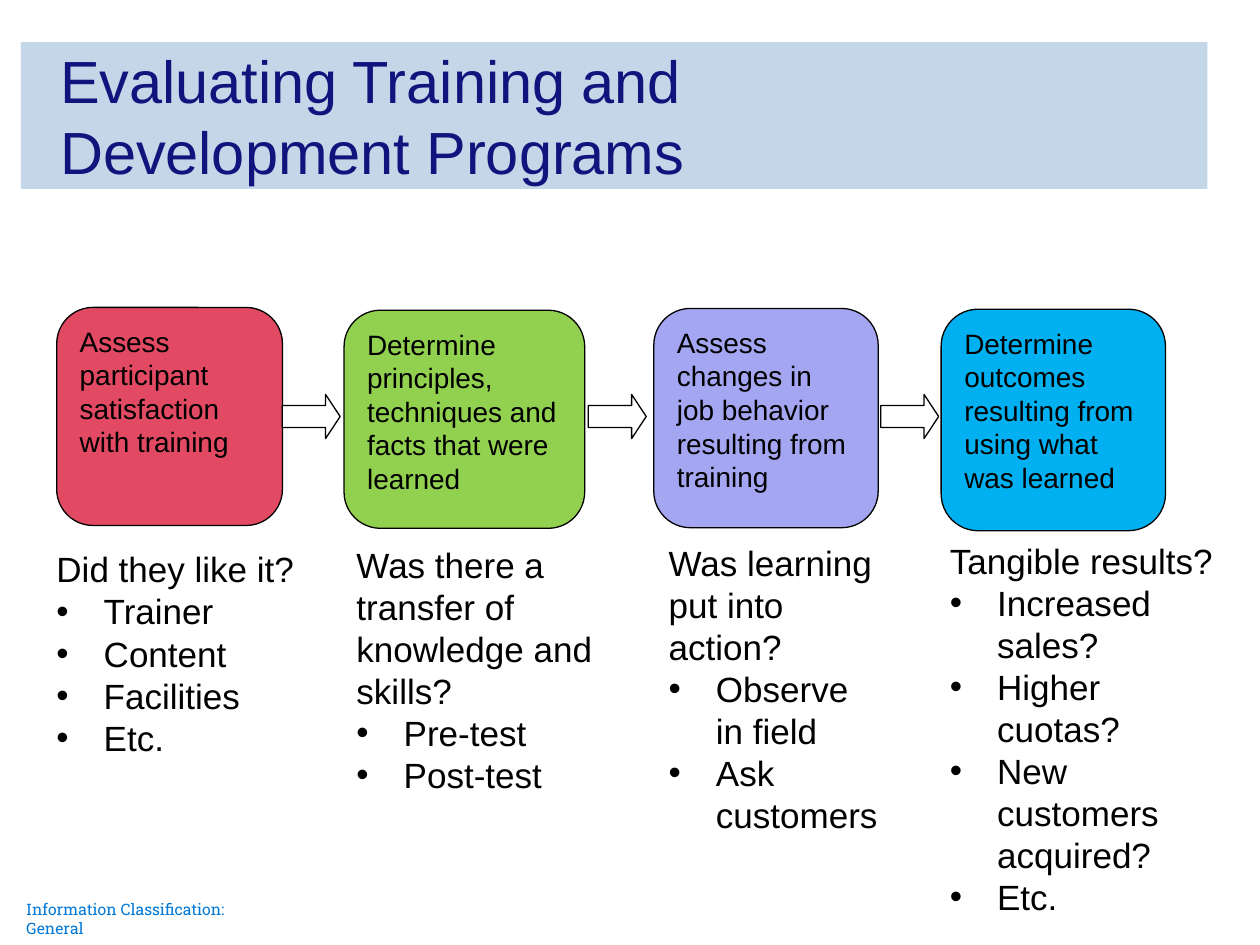
from lxml import etree
from pptx import Presentation
from pptx.dml.color import RGBColor
from pptx.enum import shapes, text
from pptx.oxml.ns import qn
from pptx.util import Pt

BAND = RGBColor(0xC4, 0xD7, 0xE9)
NAVY = RGBColor(0x11, 0x14, 0x7D)
BLUE = RGBColor(0x00, 0x78, 0xD7)
BLACK = RGBColor(0, 0, 0)
WHITE = RGBColor(0xFF, 0xFF, 0xFF)
RED = RGBColor(0xE2, 0x4A, 0x63)
GREEN = RGBColor(0x92, 0xD0, 0x50)
LILAC = RGBColor(0xA4, 0xA6, 0xF2)
SKY = RGBColor(0x00, 0xB0, 0xF0)

# Each stage: card box, card colour, card text, notes box, question, answers
STAGES = [
    ((32.4, 175.7, 129, 124.6), RED,
     "Assess participant satisfaction with training",
     (25.2, 309.6, 151.2, 128), "Did they like it?",
     ["Trainer", "Content", "Facilities", "Etc."]),
    ((196.6, 177.3, 137.5, 124.6), GREEN,
     "Determine principles, techniques and facts that were learned",
     (196.6, 306.9, 151.2, 152.6), "Was there a transfer of knowledge and skills?",
     ["Pre-test", "Post-test"]),
    ((373.6, 176.3, 128.2, 125.3), LILAC,
     "Assess changes in job behavior resulting from training",
     (375, 306, 137.5, 177), "Was learning put into action?",
     ["Observe in field", "Ask customers"]),
    ((537.8, 176.7, 128.2, 126.6), SKY,
     "Determine outcomes resulting from using what was learned",
     (535.7, 304.7, 166.3, 225.4), "Tangible results?",
     ["Increased sales?", "Higher cuotas?", "New customers acquired?", "Etc."]),
]
ARROW_LEFTS = [161.3, 336.2, 503.3]
ARROW_TOP, ARROW_WIDTH, ARROW_HEIGHT = 225.4, 33.1, 25.2


def points(box):
    return [Pt(value) for value in box]


def set_font(paragraph, size, color, name="Arial"):
    paragraph.font.size = Pt(size)
    paragraph.font.name = name
    paragraph.font.color.rgb = color


def add_title(slide, box, lines):
    title = slide.shapes.title
    title.left, title.top, title.width, title.height = points(box)
    title.fill.solid()
    title.fill.fore_color.rgb = BAND
    frame = title.text_frame
    frame.auto_size = text.MSO_AUTO_SIZE.NONE
    frame.word_wrap = True
    frame.vertical_anchor = text.MSO_ANCHOR.MIDDLE
    frame.margin_left = Pt(22.4)
    paragraph = frame.paragraphs[0]
    paragraph.alignment = text.PP_ALIGN.LEFT
    set_font(paragraph, 34, NAVY)
    paragraph.add_run().text = lines[0]
    for line in lines[1:]:
        paragraph.add_line_break()
        paragraph.add_run().text = line


def add_outlined_shape(slide, kind, box, color):
    shape = slide.shapes.add_shape(kind, *points(box))
    shape.shadow.inherit = False
    shape.fill.solid()
    shape.fill.fore_color.rgb = color
    shape.line.color.rgb = BLACK
    shape.line.width = Pt(0.75)
    return shape


def add_card(slide, box, color, wording):
    card = add_outlined_shape(slide, shapes.MSO_SHAPE.ROUNDED_RECTANGLE, box, color)
    frame = card.text_frame
    frame.word_wrap = True
    frame.vertical_anchor = text.MSO_ANCHOR.TOP
    paragraph = frame.paragraphs[0]
    paragraph.text = wording
    paragraph.alignment = text.PP_ALIGN.LEFT
    set_font(paragraph, 16, BLACK)


def add_arrow(slide, box):
    arrow = add_outlined_shape(slide, shapes.MSO_SHAPE.RIGHT_ARROW, box, WHITE)
    arrow.adjustments[1] = 0.33


def add_bullet(paragraph):
    properties = paragraph._p.get_or_add_pPr()
    properties.set("marL", str(Pt(27)))
    properties.set("indent", str(-Pt(27)))
    etree.SubElement(properties, qn("a:buFont"), typeface="Arial")
    etree.SubElement(properties, qn("a:buChar"), char="•")


def add_notes(slide, box, question, answers):
    frame = slide.shapes.add_textbox(*points(box)).text_frame
    frame.word_wrap = True
    frame.paragraphs[0].text = question
    for answer in answers:
        paragraph = frame.add_paragraph()
        paragraph.text = answer
        add_bullet(paragraph)
    for paragraph in frame.paragraphs:
        set_font(paragraph, 20, BLACK)


def add_classification(slide, box, wording):
    frame = slide.shapes.add_textbox(*points(box)).text_frame
    frame.word_wrap = True
    frame.margin_left = frame.margin_right = 0
    frame.margin_top = frame.margin_bottom = 0
    frame.paragraphs[0].text = wording
    set_font(frame.paragraphs[0], 9, BLUE, "Roboto Slab")


def main():
    presentation = Presentation()
    presentation.slide_width, presentation.slide_height = Pt(720), Pt(540)
    slide = presentation.slides.add_slide(presentation.slide_layouts[5])
    add_classification(slide, (15, 514, 146, 11), "Information Classification: General")
    add_title(slide, (12, 24, 678, 84), ["Evaluating Training and", "Development Programs"])
    for card_box, color, wording, notes_box, question, answers in STAGES:
        add_card(slide, card_box, color, wording)
        add_notes(slide, notes_box, question, answers)
    for left in ARROW_LEFTS:
        add_arrow(slide, (left, ARROW_TOP, ARROW_WIDTH, ARROW_HEIGHT))
    presentation.save("out.pptx")


if __name__ == "__main__":
    main()
